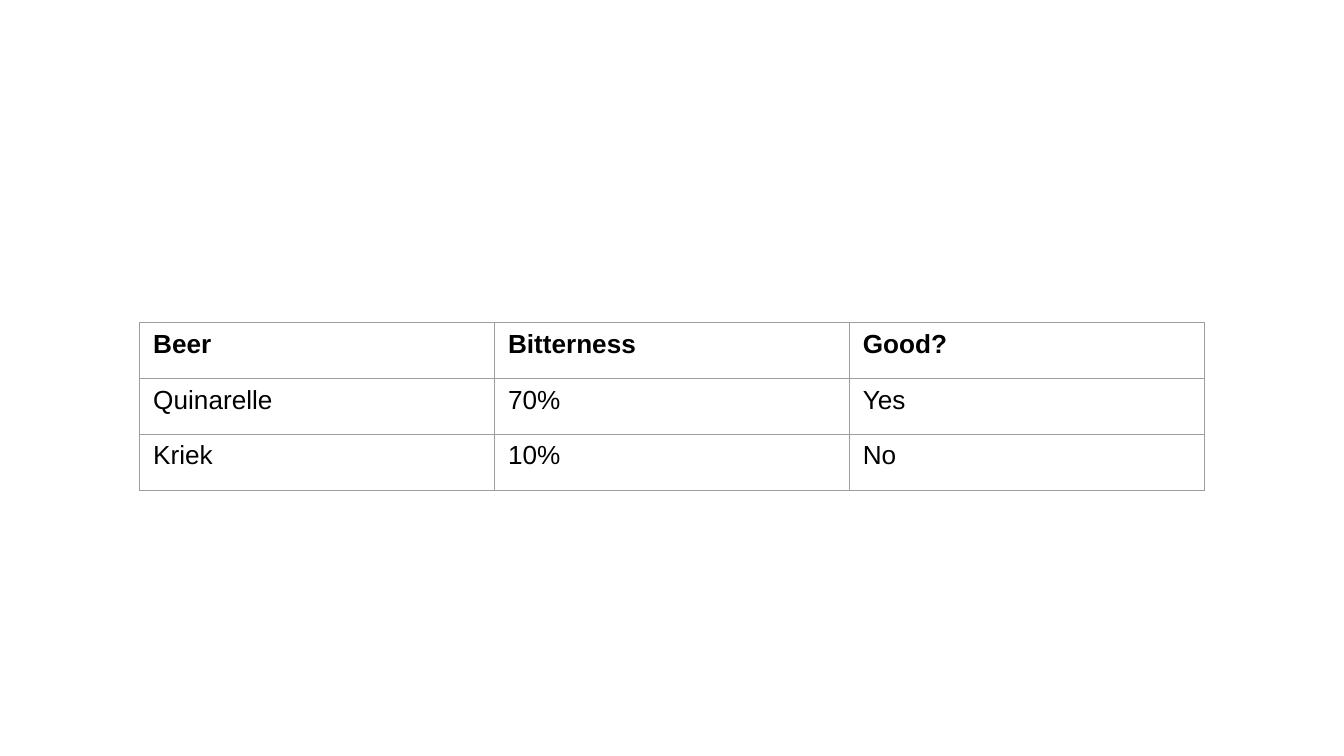
from dataclasses import dataclass

from lxml.etree import SubElement as Sub
from pptx import Presentation
from pptx.dml.color import RGBColor as RGB
from pptx.oxml.ns import qn
from pptx.util import Inches, Pt

BEERS = [
    ("Beer", "Bitterness", "Good?"),
    ("Quinarelle", "70%", "Yes"),
    ("Kriek", "10%", "No"),
]
LEFT, TOP, WIDTH, HEIGHT = 1.04, 2.4, 7.92, 1.25


@dataclass(frozen=True)
class Theme:
    font: str = "Arial"
    size: float = 14
    ink: str = "000000"
    rule: str = "9E9E9E"
    line: float = 0.75


THEME = Theme()


def add_rules(cell):
    """Draw a thin line on all four sides; call before setting the fill."""
    props = cell._tc.get_or_add_tcPr()
    for side in ("lnL", "lnR", "lnT", "lnB"):
        line = Sub(props, qn(f"a:{side}"), w=str(Pt(THEME.line)))
        fill = Sub(line, qn("a:solidFill"))
        Sub(fill, qn("a:srgbClr"), val=THEME.rule)


def fill_cell(cell, text, bold):
    add_rules(cell)
    cell.fill.background()
    cell.text = text
    font = cell.text_frame.paragraphs[0].font
    font.name, font.size, font.bold = THEME.font, Pt(THEME.size), bold
    font.color.rgb = RGB.from_string(THEME.ink)


def add_beers(slide):
    frame = slide.shapes.add_table(
        len(BEERS), len(BEERS[0]),
        Inches(LEFT), Inches(TOP), Inches(WIDTH), Inches(HEIGHT))
    table = frame.table
    table.first_row = table.horz_banding = False
    for r, row in enumerate(BEERS):
        for c, text in enumerate(row):
            fill_cell(table.cell(r, c), text, bold=r == 0)


def main():
    deck = Presentation()
    deck.slide_width = Inches(10)
    deck.slide_height = Inches(10 * 9 / 16)
    add_beers(deck.slides.add_slide(deck.slide_layouts[6]))
    deck.save("out.pptx")


if __name__ == "__main__":
    main()
